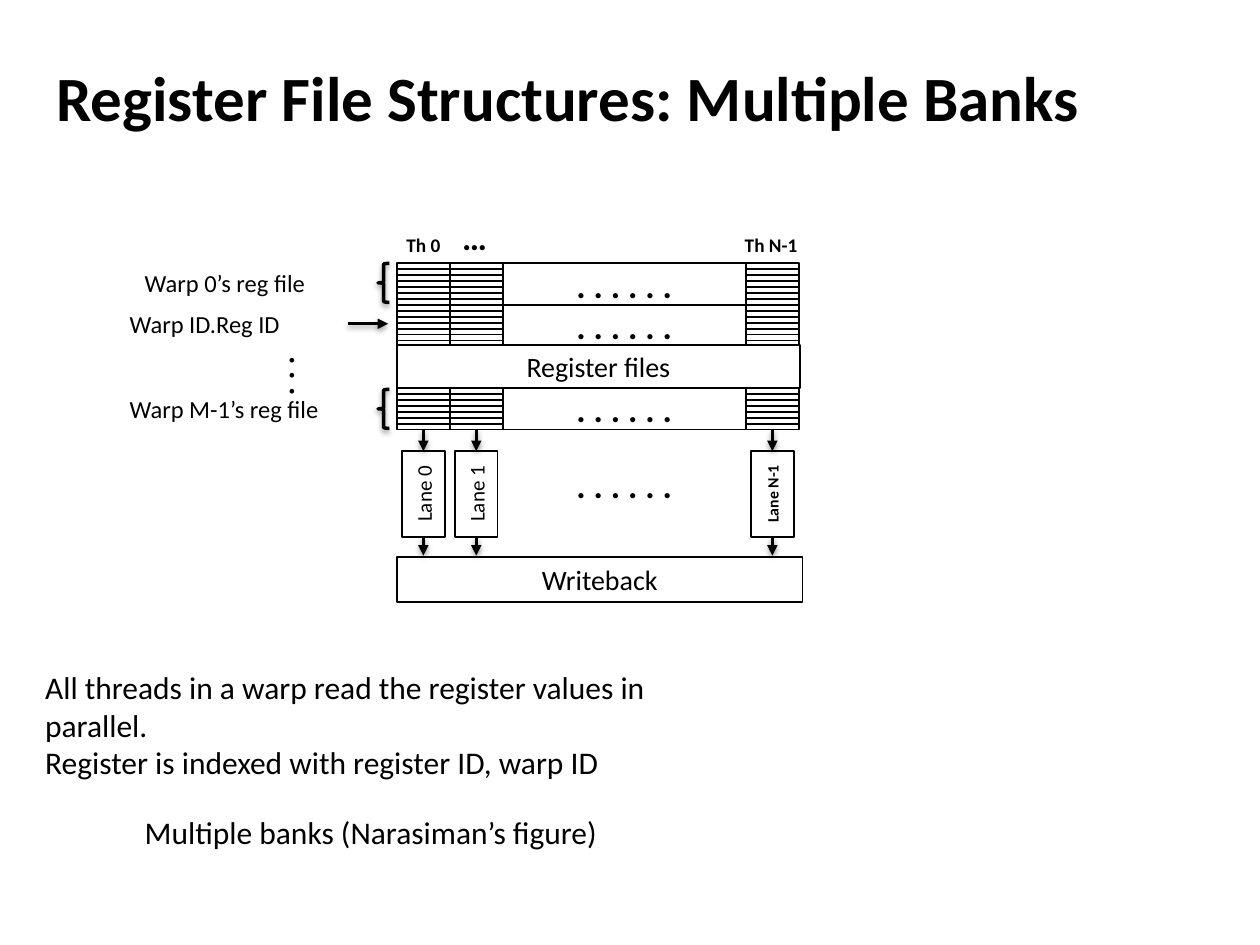
from lxml import etree
from pptx import Presentation
from pptx.dml.color import RGBColor
from pptx.enum import shapes as sh, text as tx
from pptx.oxml import parse_xml
from pptx.oxml.ns import nsdecls, qn
from pptx.util import Inches, Pt

BLACK = RGBColor(0, 0, 0)
WHITE = RGBColor(255, 255, 255)
DOTS = ". . . . . ."

deck = Presentation()
deck.slide_width, deck.slide_height = Inches(10), Inches(7.5)
slide = deck.slides.add_slide(deck.slide_layouts[6])


def put(home, area, words="", size=16, bold=False, solid=True, center=True):
    """Add a white outlined box (solid) or a plain text box; lines split paragraphs."""
    area = [Inches(v) for v in area]
    if solid:
        item = home.add_shape(sh.MSO_SHAPE.RECTANGLE, *area)
        item.shadow.inherit = False
        item.fill.solid()
        item.fill.fore_color.rgb = WHITE
        item.line.color.rgb = BLACK
        item.line.width = Pt(1)
    else:
        item = home.add_textbox(*area)
    if words:
        frame = item.text_frame
        frame.word_wrap = True
        frame.text = words
        if solid:
            frame.vertical_anchor = tx.MSO_ANCHOR.MIDDLE
        else:
            frame.auto_size = tx.MSO_AUTO_SIZE.SHAPE_TO_FIT_TEXT
        for par in frame.paragraphs:
            par.alignment = tx.PP_ALIGN.CENTER if center else tx.PP_ALIGN.LEFT
            par.font.name = "Calibri"
            par.font.size = Pt(size)
            par.font.bold = bold
            par.font.color.rgb = BLACK
    return item


def ink(item, width, arrow=False):
    """Give a line or brace its black stroke, soft shadow and arrowhead."""
    item.line.color.rgb = BLACK
    item.line.width = Pt(width)
    if arrow:
        etree.SubElement(item.line._get_or_add_ln(), qn("a:tailEnd"), type="triangle")
    item._element.spPr.append(parse_xml(
        f'<a:effectLst {nsdecls("a")}>'
        '<a:outerShdw blurRad="40000" dist="20000" dir="5400000" rotWithShape="0">'
        '<a:srgbClr val="000000"><a:alpha val="38000"/></a:srgbClr>'
        '</a:outerShdw></a:effectLst>'))


parts = slide.shapes
title = put(parts, (0.35, 0.35, 9, 0.83), "Register File Structures: Multiple Banks",
            36, True, solid=False, center=False)
title.text_frame.auto_size = tx.MSO_AUTO_SIZE.NONE
title.text_frame.vertical_anchor = tx.MSO_ANCHOR.MIDDLE

# Register banks: seven thin registers per thread column
cols = (3.15, 3.57, 5.92)
wide, high, count = 0.42, 0.33, 7
step = high / count
last = []
for top in (2.09, 2.42, 3.08):
    home = parts.add_group_shape().shapes if top == 3.08 else parts
    last = []
    for left in cols:
        for row in range(count):
            cell = put(home, (left, top + row * step, wide, step))
        last.append(cell)
    put(home, (3.99, top, 1.93, high), DOTS, 20, True)

put(parts, (3.15, 2.74, 3.2, 0.34), "Register files")
put(parts, (3.99, 3.63, 1.93, 0.43), DOTS, 20, True, solid=False)
put(parts, (3.15, 4.42, 3.22, 0.36), "Writeback")

# Lanes, each fed by its column and feeding the writeback
lanes = (("Lane 0", 12, False), ("Lane 1", 12, False), ("Lane N-1", 9, True))
long, thin, mid = 0.68, 0.34, 3.92
for left, cell, (name, size, bold) in zip(cols, last, lanes):
    x = left + wide / 2
    lane = put(parts, (x - long / 2, mid - thin / 2, long, thin), name, size, bold)
    lane.rotation = 270
    for y, end in ((3.41, mid - long / 2), (mid + long / 2, 4.41)):
        arrow = parts.add_connector(sh.MSO_CONNECTOR.STRAIGHT, Inches(x), Inches(y),
                                    Inches(x), Inches(end))
        if y < mid:
            arrow.begin_connect(cell, 2)
            # The turned lane's right side faces up, its left side down
            arrow.end_connect(lane, 3)
            arrow.end_x, arrow.end_y = Inches(x), Inches(end)
        else:
            arrow.begin_connect(lane, 1)
            arrow.begin_x, arrow.begin_y = Inches(x), Inches(y)
        ink(arrow, 2, arrow=True)

# Warp labels with braces and pointer
for top in (2.09, 3.09):
    brace = parts.add_shape(sh.MSO_SHAPE.LEFT_BRACE, Inches(3), Inches(top),
                            Inches(0.09), Inches(0.31))
    brace.fill.background()
    ink(brace, 2)
ref = parts.add_connector(sh.MSO_CONNECTOR.STRAIGHT, Inches(2.76), Inches(2.57),
                          Inches(3.08), Inches(2.57))
ink(ref, 1.5, arrow=True)

for left, top, width, name in (
    (1.05, 2.08, 2, "Warp 0’s reg file"),
    (0.93, 2.4, 1.91, "Warp ID.Reg ID"),
    (0.93, 3.08, 2.15, "Warp M-1’s reg file"),
):
    put(parts, (left, top, width, 0.34), name, 14, solid=False, center=False)
gap = put(parts, (2.1, 2.73, 0.5, 0.57), ". . .", 18, True, solid=False, center=False)
gap.text_frame._txBody.bodyPr.set("vert", "eaVert")

# Thread headings
put(parts, (3.11, 1.8, 0.5, 0.28), "Th 0", 11, True, solid=False)
put(parts, (3.57, 1.66, 0.42, 0.43), "…", 20, True, solid=False, center=False)
put(parts, (5.77, 1.8, 0.7, 0.28), "Th N-1", 11, True, solid=False)

# Notes below the diagram
note = put(parts, (1.05, 6.4, 4.15, 0.4), "Multiple banks (Narasiman’s figure)",
           18, solid=False, center=False)
note.text_frame.word_wrap = False
put(parts, (0.26, 5.25, 5.09, 1.01),
    "All threads in a warp read the register values in parallel.\n"
    "Register is indexed with register ID, warp ID", 18, solid=False, center=False)

deck.save("out.pptx")
